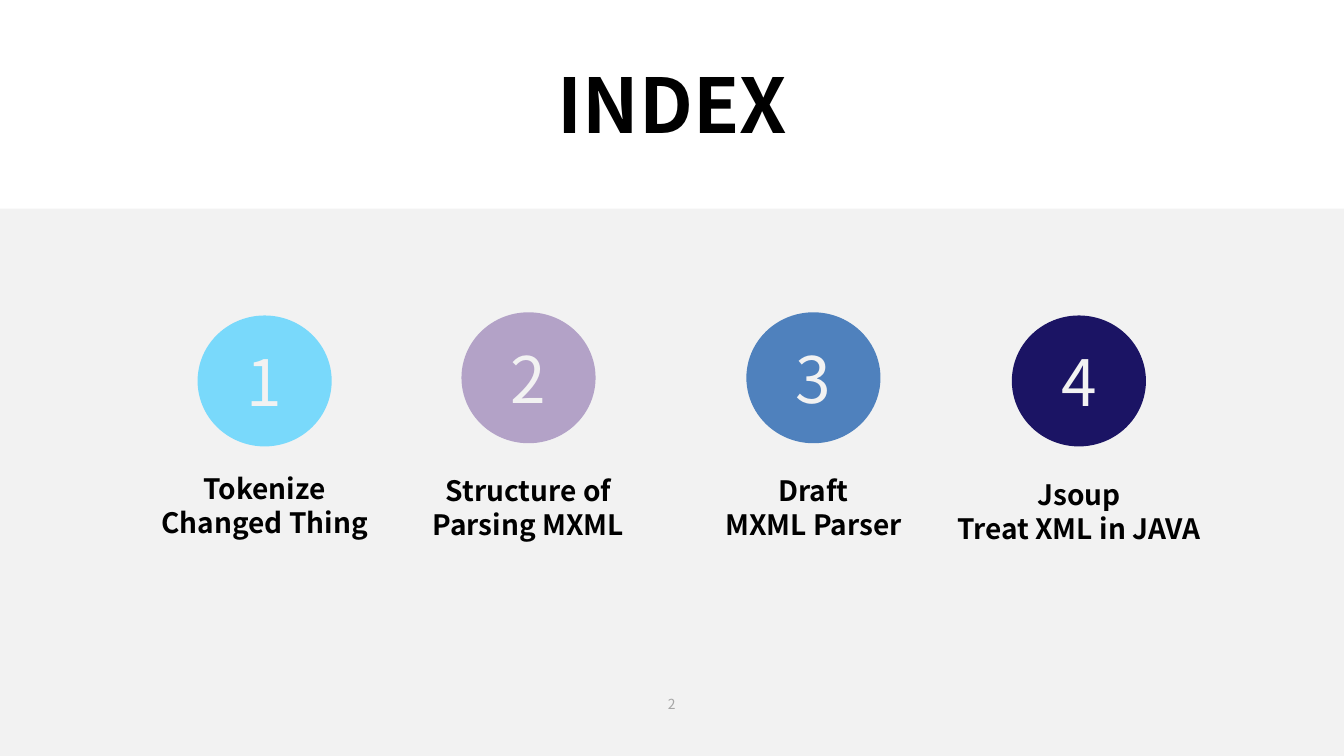
from pptx import Presentation
from pptx.dml.color import RGBColor
from pptx.enum.shapes import MSO_SHAPE
from pptx.enum.text import MSO_ANCHOR, MSO_AUTO_SIZE, PP_ALIGN
from pptx.util import Cm, Pt

RECT, OVAL = MSO_SHAPE.RECTANGLE, MSO_SHAPE.OVAL
TOP, MIDDLE = MSO_ANCHOR.TOP, MSO_ANCHOR.MIDDLE
CENTER = PP_ALIGN.CENTER
GROW = MSO_AUTO_SIZE.SHAPE_TO_FIT_TEXT

FONT = "Noto Sans CJK KR"
BLACK = RGBColor(0x00, 0x00, 0x00)
PALE = RGBColor(0xF2, 0xF2, 0xF2)
GREY = RGBColor(0xA6, 0xA6, 0xA6)
SKY = RGBColor(0x79, 0xD9, 0xFB)
LILAC = RGBColor(0xB3, 0xA2, 0xC7)
BLUE = RGBColor(0x4F, 0x81, 0xBD)
NAVY = RGBColor(0x1B, 0x14, 0x64)

# Content: caption, colour, centre x, circle top, caption top, caption width (cm)
TITLE = "INDEX"
PAGE = "2"
TOPICS = [
    ("Tokenize\nChanged Thing", SKY, 6.67, 7.95, 11.89, 5.26),
    ("Structure of\nParsing MXML", LILAC, 13.32, 7.87, 11.94, 5.26),
    ("Draft\nMXML Parser", BLUE, 20.5, 7.87, 11.94, 6.4),
    ("Jsoup\nTreat XML in JAVA", NAVY, 27.19, 7.95, 12.04, 6.4),
]
SLIDE_W, SLIDE_H = 33.87, 19.05
BAND_TOP = 5.26
CIRCLE_W, CIRCLE_H = 3.38, 3.3
CAPTION_H = 1.88


def write(sp, text, size, color, bold=False, anchor=TOP, grow=True):
    tf = sp.text_frame
    tf.text = text
    tf.word_wrap = True
    tf.vertical_anchor = anchor
    if grow:
        tf.auto_size = GROW
        tf.margin_left = tf.margin_right = tf.margin_top = tf.margin_bottom = 0
    for p in tf.paragraphs:
        p.alignment = CENTER
        p.space_before = Pt(0)
        for r in p.runs:
            r.font.name = FONT
            r.font.size = Pt(size)
            r.font.bold = bold
            r.font.color.rgb = color


def add_filled(s, kind, left, top, width, height, color):
    sp = s.shapes.add_shape(kind, Cm(left), Cm(top), Cm(width), Cm(height))
    sp.shadow.inherit = False
    sp.fill.solid()
    sp.fill.fore_color.rgb = color
    sp.line.fill.background()
    return sp


def add_label(s, left, top, width, height):
    return s.shapes.add_textbox(Cm(left), Cm(top), Cm(width), Cm(height))


prs = Presentation()
prs.slide_width, prs.slide_height = Cm(SLIDE_W), Cm(SLIDE_H)
s = prs.slides.add_slide(prs.slide_layouts[5])

# Title
title = s.shapes.title
title.left, title.top, title.width, title.height = Cm(7.42), Cm(1.47), Cm(19.05), Cm(2.31)
write(title, TITLE, 54, BLACK, bold=True)

# Grey band and page number
add_filled(s, RECT, 0, BAND_TOP, SLIDE_W, SLIDE_H - BAND_TOP, PALE)
write(add_label(s, 15.82, 17.53, 2.21, 0.43), PAGE, 9.9, GREY, anchor=MIDDLE)

# Numbered topics
for number, (caption, color, x, circle_top, caption_top, width) in enumerate(TOPICS, 1):
    circle = add_filled(s, OVAL, x - CIRCLE_W / 2, circle_top, CIRCLE_W, CIRCLE_H, color)
    write(circle, str(number), 45.7, PALE, anchor=MIDDLE, grow=False)
    label = add_label(s, x - width / 2, caption_top, width, CAPTION_H)
    write(label, caption, 20, BLACK, bold=True)

prs.save("out.pptx")
